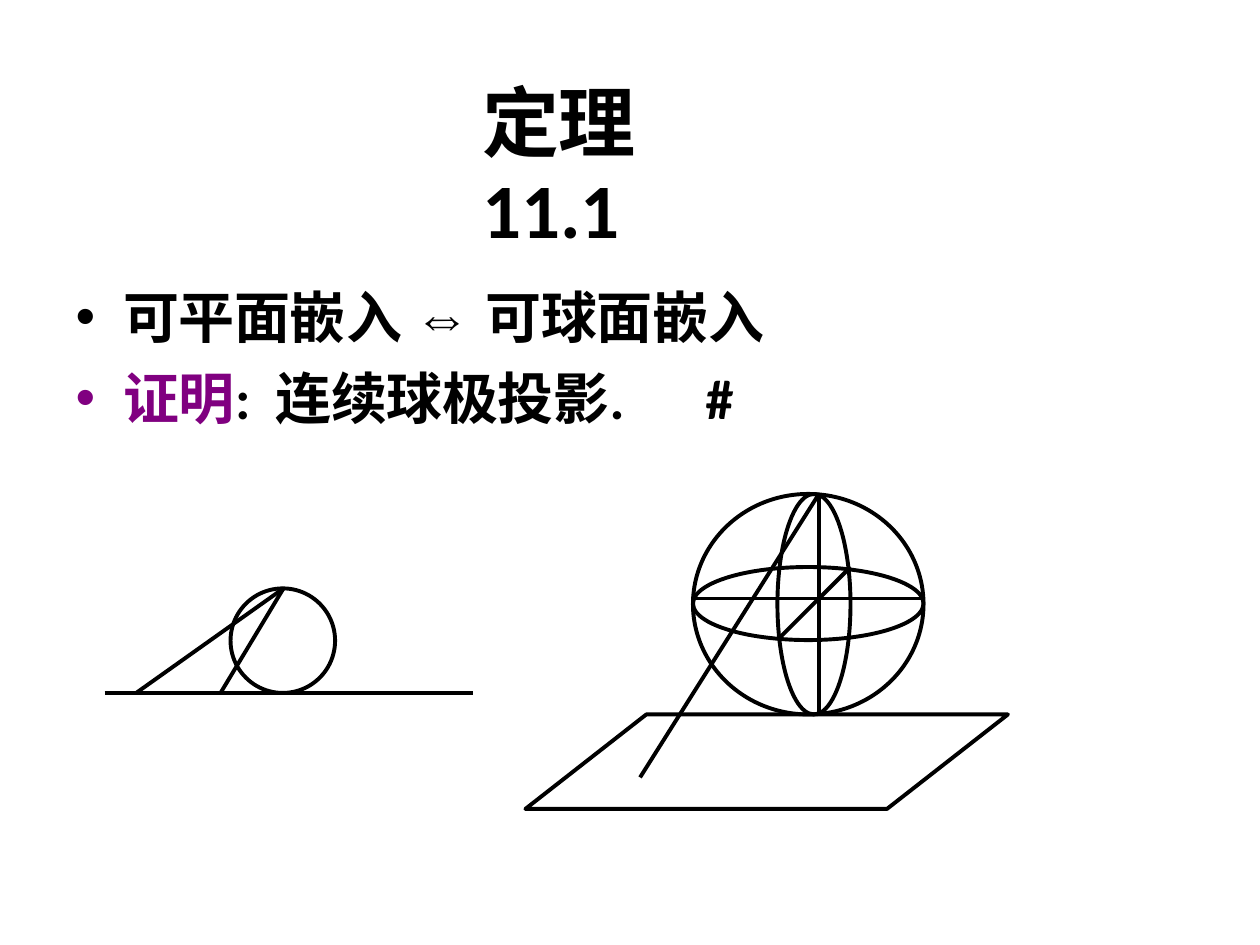
"""Builds the slide on theorem 11.1 with its two stereographic projection figures."""
from lxml import etree
from pptx import Presentation
from pptx import util as u
from pptx.dml.color import RGBColor
from pptx.enum import shapes, text
from pptx.oxml.ns import qn

COLORS = {"ink": "000000", "proof": "800080"}
CJK, LATIN, SYMBOL = "Noto Sans CJK SC", "Calibri", "Arial"
STROKE = u.Pt(2.25)

TITLE = [("定理", CJK, "ink", -0.4), ("11.1", LATIN, "ink", -0.2)]
STATEMENT = [
    ("可平面嵌", CJK, "ink", -0.3),
    ("入", CJK, "ink", 6.8),
    ("⇔ ", SYMBOL, "ink", 0),
    ("可球面嵌", CJK, "ink", -0.3),
    ("入", CJK, "ink", -0.5),
]
PROOF = [
    ("证明", CJK, "proof", -0.3),
    (":\t", LATIN, "ink", -0.5),
    ("连续球极投影", CJK, "ink", -0.3),
    (".\t#", LATIN, "ink", -0.5),
]

OVALS = [
    (5.5, 3.92, 1.83, 1.75),
    (5.5, 4.5, 1.83, 0.58),
    (6.17, 3.92, 0.58, 1.75),
    (1.83, 4.67, 0.83, 0.83),
]
LINES = [
    (6.17, 5.08, 6.75, 4.5),
    (5.5, 4.75, 7.33, 4.75),
    (6.5, 5.67, 6.5, 3.92),
    (6.5, 3.92, 5.08, 6.17),
    (0.83, 5.5, 3.75, 5.5),
    (1.08, 5.5, 2.25, 4.67),
    (2.25, 4.67, 1.75, 5.5),
]
PLANE = [(4.17, 6.42), (5.13, 5.67), (8, 5.67), (7.04, 6.42)]


def rgb(name):
    """Return the named colour."""
    return RGBColor.from_string(COLORS[name])


def add_text_area(slide, box, top_inset, right_inset=0):
    """Add a wrapping text box and return its text frame."""
    frame = slide.shapes.add_textbox(*map(u.Inches, box)).text_frame
    frame.word_wrap = True
    frame.vertical_anchor = text.MSO_ANCHOR.TOP
    frame.margin_left = frame.margin_bottom = 0
    frame.margin_top = u.Inches(top_inset)
    frame.margin_right = u.Inches(right_inset)
    return frame


def write_runs(paragraph, pieces, size, line_height):
    """Fill a paragraph with bold, tracked runs."""
    paragraph.alignment = text.PP_ALIGN.LEFT
    paragraph.line_spacing = u.Pt(line_height)
    for wording, family, color, tracking in pieces:
        run = paragraph.add_run()
        run.text = wording
        run.font.size = u.Pt(size)
        run.font.bold = True
        run.font.name = family
        run.font.color.rgb = rgb(color)
        properties = run.font._element
        properties.set("spc", str(round(tracking * 100)))
        east_asian = etree.Element(qn("a:ea"), typeface=family)
        properties.find(qn("a:latin")).addnext(east_asian)


def add_bullet(paragraph, tabs):
    """Give a paragraph a hanging bullet and left tab stops."""
    properties = paragraph._p.get_or_add_pPr()
    properties.set("marL", str(u.Inches(0.39)))
    properties.set("indent", str(u.Inches(-0.38)))
    etree.SubElement(properties, qn("a:buFont"), typeface=SYMBOL)
    etree.SubElement(properties, qn("a:buChar"), char="•")
    stops = etree.SubElement(properties, qn("a:tabLst"))
    for tab in tabs:
        etree.SubElement(stops, qn("a:tab"), pos=str(u.Inches(tab)), algn="l")


def outline(shape):
    """Leave a shape unfilled with a plain stroke."""
    shape.shadow.inherit = False
    shape.fill.background()
    shape.line.color.rgb = rgb("ink")
    shape.line.width = STROKE


def add_oval(slide, box):
    """Add an outlined circle or ellipse."""
    outline(slide.shapes.add_shape(shapes.MSO_SHAPE.OVAL, *map(u.Inches, box)))


def add_line(slide, ends):
    """Add a straight line between two points."""
    line = slide.shapes.add_connector(
        shapes.MSO_CONNECTOR.STRAIGHT, *map(u.Inches, ends))
    line.line.color.rgb = rgb("ink")
    line.line.width = STROKE
    etree.SubElement(line._element.spPr, qn("a:effectLst"))


def add_plane(slide, corners):
    """Add the outlined plane under the sphere."""
    points = [(u.Inches(x), u.Inches(y)) for x, y in corners]
    builder = slide.shapes.build_freeform(*points[0])
    builder.add_line_segments(points[1:], close=True)
    outline(builder.convert_to_shape())


def main():
    """Build and save the slide."""
    deck = Presentation()
    deck.slide_width, deck.slide_height = u.Inches(10), u.Inches(7.5)
    slide = deck.slides.add_slide(deck.slide_layouts[6])

    title = add_text_area(slide, (3.83, 0.52, 2.35, 1.5), 0.11, 0.2)
    write_runs(title.paragraphs[0], TITLE, 44, 50)

    body = add_text_area(slide, (0.59, 2.08, 5.53, 1.31), 0.16)
    statement, proof = body.paragraphs[0], body.add_paragraph()
    add_bullet(statement, [0.39])
    write_runs(statement, STATEMENT, 32, 38.6)
    add_bullet(proof, [0.39, 1.6, 5.01])
    write_runs(proof, PROOF, 32, 38.6)
    proof.space_before = u.Pt(7.7)

    for box in OVALS:
        add_oval(slide, box)
    for ends in LINES:
        add_line(slide, ends)
    add_plane(slide, PLANE)
    deck.save("out.pptx")


if __name__ == "__main__":
    main()
